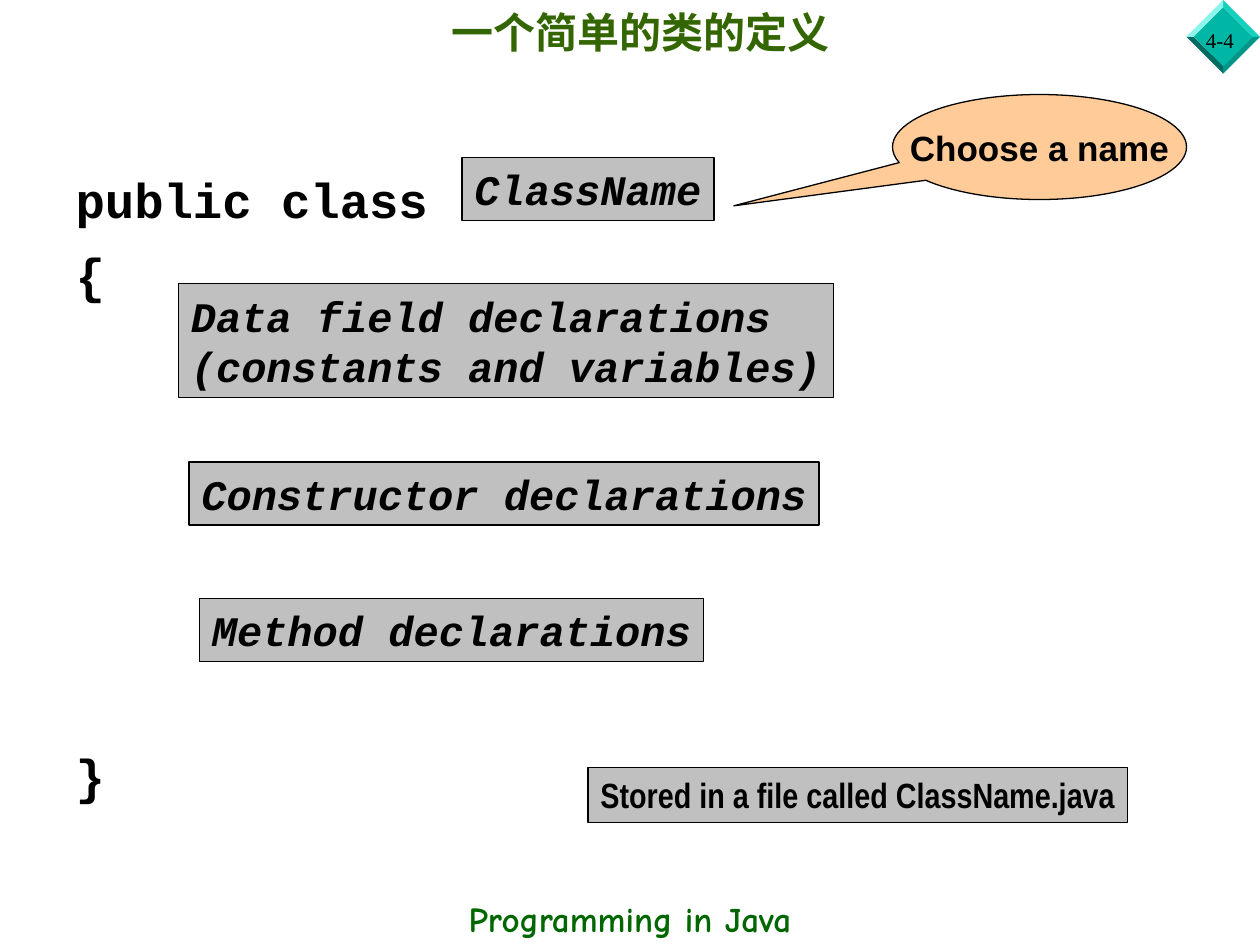
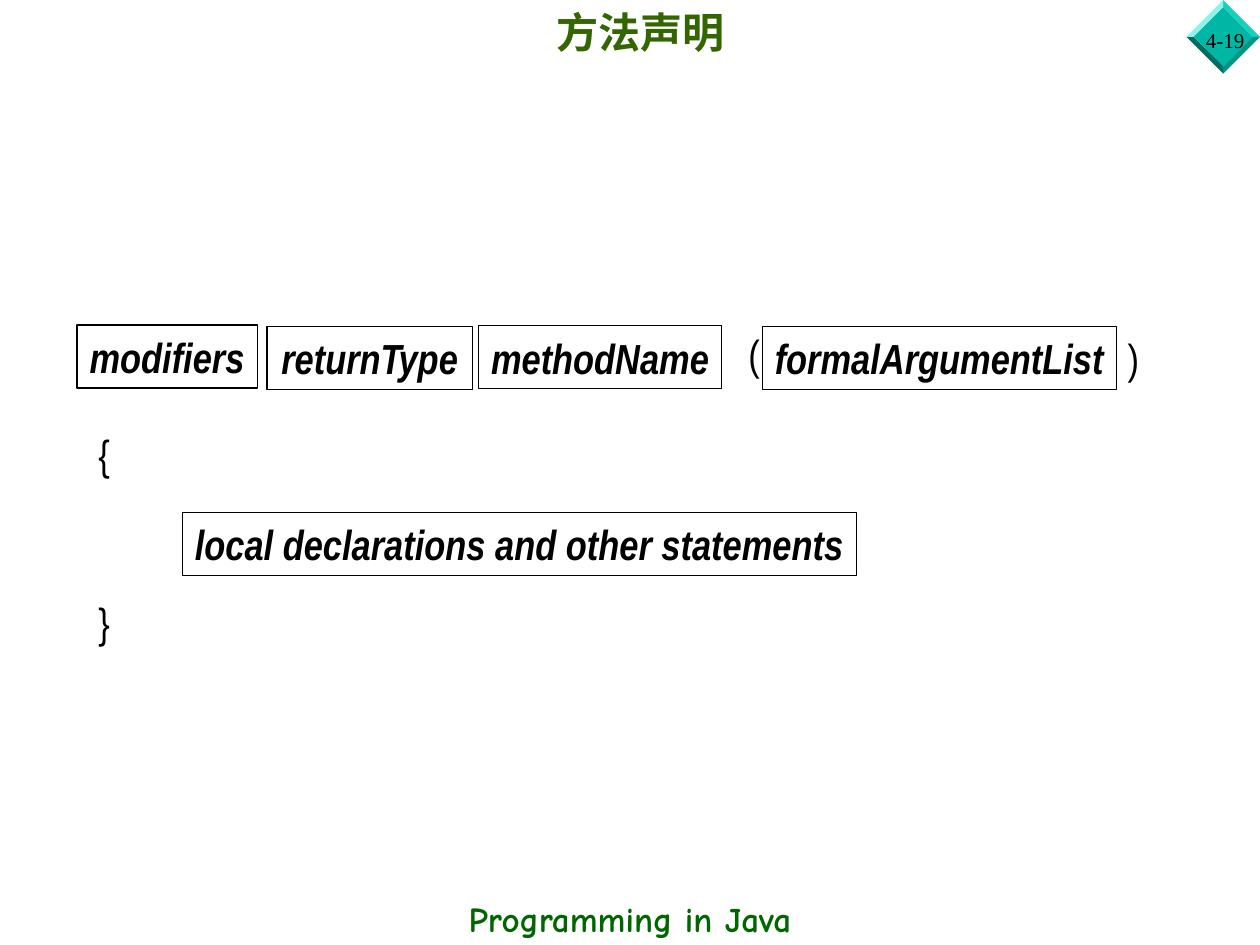
from lxml.etree import SubElement
from pptx import Presentation
from pptx.dml.color import RGBColor
from pptx.enum.shapes import MSO_SHAPE
from pptx.enum.text import MSO_ANCHOR, MSO_AUTO_SIZE, PP_ALIGN
from pptx.oxml.ns import qn
from pptx.util import Pt

BLACK = RGBColor(0x00, 0x00, 0x00)
TITLE_GREEN = RGBColor(0x33, 0x66, 0x00)
FOOTER_GREEN = RGBColor(0x00, 0x66, 0x00)
GREY = RGBColor(0xC0, 0xC0, 0xC0)
PEACH = RGBColor(0xFF, 0xCC, 0x99)
BADGE_FACE = RGBColor(0x00, 0xB7, 0xA5)
BADGE_EDGES = [
    RGBColor(0x14, 0xD1, 0xBE),
    RGBColor(0x00, 0x96, 0x88),
    RGBColor(0x00, 0x6B, 0x61),
    RGBColor(0x8C, 0xF4, 0xEA),
]
BADGE_CENTRE = (699, 21)
BADGE_OUTER, BADGE_INNER = 21, 17

CODE = {"font": "Courier New", "bold": True, "italic": True}
SYNTAX = {"font": "Arial Narrow", "bold": True, "italic": True}
CENTRED_SYNTAX = {**SYNTAX, "align": PP_ALIGN.CENTER}
BRACKET = {"font": "Arial Narrow", "align": PP_ALIGN.CENTER}
FILE_NOTE = {"font": "Arial Narrow", "size": 20, "bold": True, "align": PP_ALIGN.CENTER}
CALLOUT = {"font": "Arial", "size": 20, "bold": True, "align": PP_ALIGN.CENTER}

FOOTER = "Programming in Java"
CLASS_TITLE, CLASS_NUMBER = "一个简单的类的定义", "4-4"
CLASS_LINES = [("public class", 0), ("{", 9), ("}", 253)]
CLASS_BOXES = [
    ("ClassName", (264, 90, 144, 36), CODE),
    ("Data field declarations\n(constants and variables)", (102, 162, 374.4, 65), CODE),
    ("Constructor declarations", (108, 264, 360, 36), CODE),
    ("Method declarations", (114, 342, 288, 36), CODE),
    ("Stored in a file called ClassName.java", (336, 438.4, 308.4, 31.6), FILE_NOTE),
]
NAME_CALLOUT = ("Choose a name", (510, 54, 168, 60))

METHOD_TITLE, METHOD_NUMBER = "方法声明", "4-19"
METHOD_BOXES = [
    ("modifiers", (44, 185.8, 103, 36), CENTRED_SYNTAX),
    ("returnType", (152.6, 186.5, 117.4, 36), CENTRED_SYNTAX),
    ("methodName", (273.4, 186.2, 139, 36), CENTRED_SYNTAX),
    ("formalArgumentList", (435.6, 186.5, 202.4, 36), CENTRED_SYNTAX),
    ("local declarations and other statements", (104.2, 293, 385.2, 36), SYNTAX),
]
METHOD_BRACKETS = [("(", 420.4, 184.4), (")", 637.2, 186.5), ("{", 49, 241.2), ("}", 49, 337)]


def place(shape, area):
    """Move a shape to an area of left, top, width and height."""
    shape.left, shape.top, shape.width, shape.height = map(Pt, area)


def write(paragraph, text, *, font, size=24, color=BLACK, bold=False, italic=False,
          align=PP_ALIGN.LEFT, before=0):
    """Put formatted text into a paragraph."""
    paragraph.text = text
    paragraph.alignment = align
    paragraph.space_before = Pt(before)
    for run in paragraph.runs:
        run.font.name = font
        run.font.size = Pt(size)
        run.font.bold = bold
        run.font.italic = italic
        run.font.color.rgb = color


def prepare(shape, wrap=True, anchor=MSO_ANCHOR.MIDDLE):
    """Set the text frame of a shape and return it."""
    frame = shape.text_frame
    frame.word_wrap = wrap
    frame.auto_size = MSO_AUTO_SIZE.NONE
    frame.vertical_anchor = anchor
    return frame


def add_text(slide, text, area, wrap=False, **style):
    """Add a text box."""
    frame = prepare(slide.shapes.add_textbox(*map(Pt, area)), wrap)
    write(frame.paragraphs[0], text, **style)


def add_box(slide, text, area, fill=None, kind=MSO_SHAPE.RECTANGLE, **style):
    """Add an outlined shape with text."""
    shape = slide.shapes.add_shape(kind, *map(Pt, area))
    shape.shadow.inherit = False
    if fill is None:
        shape.fill.background()
    else:
        shape.fill.solid()
        shape.fill.fore_color.rgb = fill
    shape.line.color.rgb = BLACK
    shape.line.width = Pt(0.75)
    write(prepare(shape, wrap=False).paragraphs[0], text, **style)
    return shape


def diamond(radius):
    """Return the top, right, bottom and left corners of the badge."""
    x, y = BADGE_CENTRE
    return [(x, y - radius), (x + radius, y), (x, y + radius), (x - radius, y)]


def add_badge(slide):
    """Draw the bevelled diamond."""
    outer, inner = diamond(BADGE_OUTER), diamond(BADGE_INNER)
    facets = [(inner, BADGE_FACE)]
    for index, color in enumerate(BADGE_EDGES):
        following = (index + 1) % 4
        facets.append(([inner[index], outer[index], outer[following], inner[following]], color))
    group = slide.shapes.add_group_shape()
    for points, color in facets:
        builder = group.shapes.build_freeform(*points[0], scale=Pt(1))
        builder.add_line_segments(points[1:], close=True)
        facet = builder.convert_to_shape()
        facet.shadow.inherit = False
        facet.fill.solid()
        facet.fill.fore_color.rgb = color
        facet.line.fill.background()


def add_slide(presentation, layout, title, number):
    """Add a slide with the shared badge, number, footer and title."""
    slide = presentation.slides.add_slide(presentation.slide_layouts.get_by_name(layout))
    add_badge(slide)
    add_text(slide, number, (682, 12.2, 38, 21.8), font="Times New Roman", size=12)
    add_text(slide, FOOTER, (0, 509, 720, 31.6), wrap=True, font="Comic Neue", size=20,
             color=FOOTER_GREEN, bold=True, align=PP_ALIGN.CENTER)
    place(slide.shapes.title, (60, 0, 612, 36))
    write(prepare(slide.shapes.title).paragraphs[0], title, font="Comic Neue",
          color=TITLE_GREEN, bold=True, align=PP_ALIGN.CENTER)
    return slide


def add_class_slide(presentation):
    """Build the class definition slide."""
    slide = add_slide(presentation, "Title and Content", CLASS_TITLE, CLASS_NUMBER)
    body = slide.placeholders[1]
    place(body, (36, 48, 660, 456))
    frame = prepare(body, anchor=MSO_ANCHOR.TOP)
    frame.margin_top = Pt(49)
    for index, (text, before) in enumerate(CLASS_LINES):
        paragraph = frame.add_paragraph() if index else frame.paragraphs[0]
        write(paragraph, text, font="Courier New", size=28, bold=True, before=before)
        properties = paragraph._p.get_or_add_pPr()
        properties.set("marL", "0")
        properties.set("indent", "0")
        SubElement(properties, qn("a:buNone"))
    text, area = NAME_CALLOUT
    callout = add_box(slide, text, area, PEACH, MSO_SHAPE.OVAL_CALLOUT, **CALLOUT)
    callout.adjustments[0], callout.adjustments[1] = -1.04, 0.56
    for text, area, style in CLASS_BOXES:
        add_box(slide, text, area, GREY, **style)


def add_method_slide(presentation):
    """Build the method declaration slide."""
    slide = add_slide(presentation, "Title Only", METHOD_TITLE, METHOD_NUMBER)
    for text, left, top in METHOD_BRACKETS:
        add_text(slide, text, (left, top, 21, 36), **BRACKET)
    for text, area, style in METHOD_BOXES:
        add_box(slide, text, area, **style)


def main():
    """Build and save the presentation."""
    presentation = Presentation()
    presentation.slide_width, presentation.slide_height = Pt(720), Pt(540)
    add_class_slide(presentation)
    add_method_slide(presentation)
    presentation.save("out.pptx")


if __name__ == "__main__":
    main()
